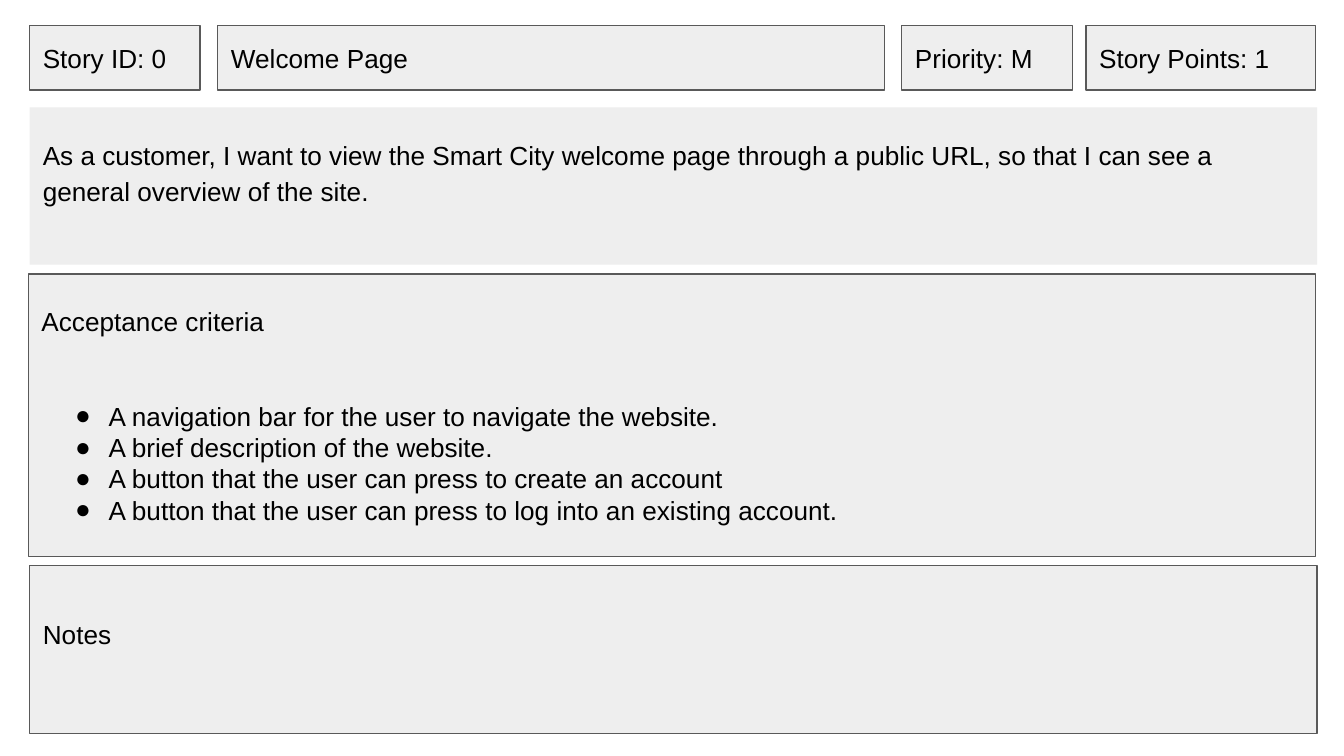
import pptx
import pptx.util
import pptx.dml.color
import pptx.enum.shapes
import pptx.enum.text
import lxml.etree

COLORS = {"panel": "EEEEEE", "border": "595959", "text": "000000"}
FONT = "Arial"
CELL = 0.1  # inches per grid column and row
LEFT, WIDTH = 2.2, 95.8
INSET = 1
BLANK_LINE = 2.3  # rows taken by one line of text


def grid(cells):
    return pptx.util.Inches(cells * CELL)


def color(name):
    return pptx.dml.color.RGBColor.from_string(COLORS[name])


def add_panel(slide, box, lines, border=True, bottom_inset=INSET):
    """Draw a grey box with one paragraph per line; return the paragraphs."""
    shape = slide.shapes.add_shape(
        pptx.enum.shapes.MSO_SHAPE.RECTANGLE, *(grid(cells) for cells in box))
    shape.shadow.inherit = False
    shape.fill.solid()
    shape.fill.fore_color.rgb = color("panel")
    if border:
        shape.line.color.rgb = color("border")
        shape.line.width = pptx.util.Pt(0.75)
    else:
        shape.line.fill.background()

    frame = shape.text_frame
    frame.word_wrap = True
    frame.vertical_anchor = pptx.enum.text.MSO_ANCHOR.MIDDLE
    frame.margin_left = frame.margin_right = frame.margin_top = grid(INSET)
    frame.margin_bottom = grid(bottom_inset)
    frame.text = "\n".join(lines)
    for paragraph in frame.paragraphs:
        paragraph.alignment = pptx.enum.text.PP_ALIGN.LEFT
        paragraph.font.name = FONT
        paragraph.font.size = pptx.util.Pt(14)
        paragraph.font.color.rgb = color("text")
    return frame.paragraphs


def add_bullet(paragraph):
    properties = paragraph._p.get_or_add_pPr()
    properties.set("marL", str(pptx.util.Inches(0.5)))
    properties.set("indent", str(pptx.util.Inches(-0.25)))
    # Bullet parts must come before the default run properties
    for tag, attributes in (("a:buSzPts", {"val": "1400"}),
                            ("a:buFont", {"typeface": FONT}),
                            ("a:buChar", {"char": "●"})):
        part = lxml.etree.Element(pptx.oxml.ns.qn(tag), attributes)
        properties.insert_element_before(part, "a:tabLst", "a:defRPr", "a:extLst")


def add_header(slide, box, fields):
    """Place fields given as (column offset, width, text) in one row."""
    left, top, _, height = box
    for offset, width, text in fields:
        add_panel(slide, (left + offset, top, width, height), [text])


def add_story(slide, box, text):
    paragraphs = add_panel(slide, box, [text], border=False,
                           bottom_inset=INSET + BLANK_LINE)
    paragraphs[0].line_spacing = 1.15


def add_criteria(slide, box, heading, criteria):
    title, *items = add_panel(slide, box, [heading, *criteria])
    title.space_after = pptx.util.Pt(34)
    for item in items:
        add_bullet(item)


def add_notes(slide, box, text):
    add_panel(slide, box, [text], bottom_inset=INSET + BLANK_LINE)


def main():
    presentation = pptx.Presentation()
    presentation.slide_width = grid(100)
    presentation.slide_height = presentation.slide_width * 9 // 16
    slide = presentation.slides.add_slide(presentation.slide_layouts[6])

    # Story facts
    add_header(slide, (LEFT, 1.9, WIDTH, 4.8), [
        (0, 12.7, "Story ID: 0"),
        (14, 49.6, "Welcome Page"),
        (64.9, 12.7, "Priority: M"),
        (78.6, 17.1, "Story Points: 1"),
    ])

    # User story
    add_story(slide, (LEFT, 8, WIDTH, 11.7),
              "As a customer, I want to view the Smart City welcome page through "
              "a public URL, so that I can see a general overview of the site.")

    # Acceptance criteria
    add_criteria(slide, (LEFT - 0.1, 20.4, WIDTH, 21), "Acceptance criteria", [
        "A navigation bar for the user to navigate the website.",
        "A brief description of the website.",
        "A button that the user can press to create an account",
        "A button that the user can press to log into an existing account.",
    ])

    # Notes
    add_notes(slide, (LEFT, 42.1, WIDTH, 12.5), "Notes")

    presentation.save("out.pptx")


if __name__ == "__main__":
    main()
